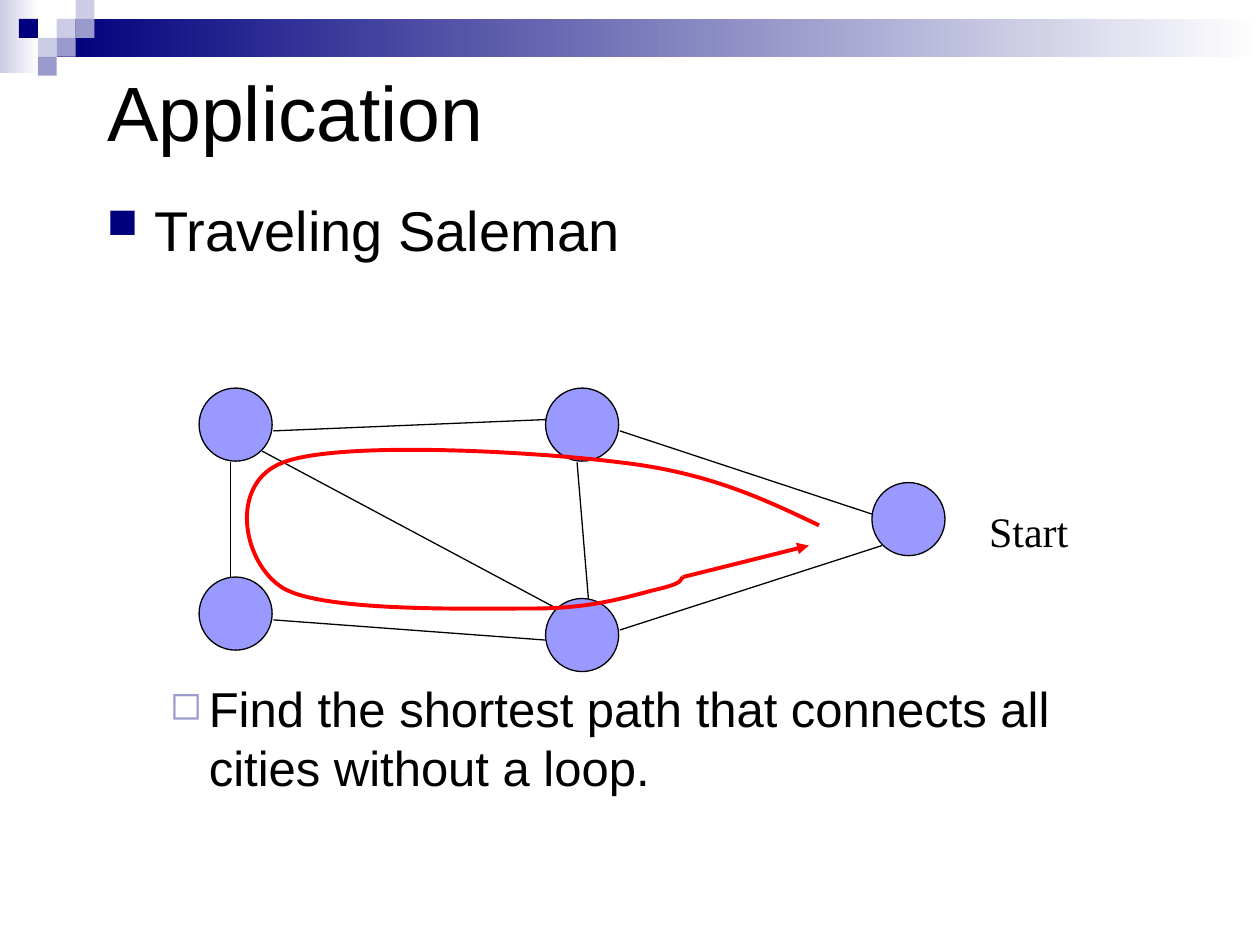
import typing

import lxml.etree
import pptx
import pptx.dml.color
import pptx.enum.shapes
import pptx.enum.text
import pptx.oxml.ns
import pptx.util

RGB = pptx.dml.color.RGBColor
Inches = pptx.util.Inches
Pt = pptx.util.Pt
qn = pptx.oxml.ns.qn
KIND = pptx.enum.shapes.MSO_SHAPE
ALIGN = pptx.enum.text.PP_ALIGN
MIDDLE = pptx.enum.text.MSO_ANCHOR.MIDDLE

BLACK = RGB(0x00, 0x00, 0x00)
WHITE = RGB(0xFF, 0xFF, 0xFF)
NAVY = RGB(0x00, 0x00, 0x7D)
PALE = RGB(0xCC, 0xCC, 0xE6)
MID = RGB(0x99, 0x99, 0xCC)
LILAC = RGB(0x99, 0x99, 0xFF)
RED = RGB(0xFF, 0x00, 0x00)

TILE = 0.15
CITY = 0.58


class Band(typing.NamedTuple):
    left: float
    top: float
    width: float
    height: float
    color: RGB


class Tile(typing.NamedTuple):
    col: int
    row: int
    color: RGB


class Spot(typing.NamedTuple):
    x: float
    y: float


class Road(typing.NamedTuple):
    start: Spot
    end: Spot


class Item(typing.NamedTuple):
    text: str
    size: int
    left: float
    hang: float
    space: int
    mark: str
    color: RGB
    scale: int


BANDS = [Band(0, 0, 0.31, 0.58, PALE), Band(0.45, 0.15, 9.55, 0.3, NAVY)]
TILES = [
    Tile(3, 1, PALE), Tile(4, 0, PALE), Tile(4, 1, MID), Tile(2, 2, PALE),
    Tile(1, 1, NAVY), Tile(3, 2, MID), Tile(2, 3, MID),
]
CITIES = [
    Spot(1.58, 3.08), Spot(4.33, 4.75), Spot(1.58, 4.58),
    Spot(4.33, 3.08), Spot(6.92, 3.83),
]
ROADS = [
    Road(Spot(1.83, 3.67), Spot(1.83, 4.58)),
    Road(Spot(2.17, 3.42), Spot(4.33, 3.33)),
    Road(Spot(4.92, 3.42), Spot(6.92, 4.08)),
    Road(Spot(2.17, 4.92), Spot(4.33, 5.08)),
    Road(Spot(4.92, 5), Spot(7, 4.33)),
    Road(Spot(4.58, 3.67), Spot(4.67, 4.75)),
    Road(Spot(2.08, 3.58), Spot(4.42, 4.83)),
]
TOUR = [
    Spot(6.5, 4.17),
    Spot(6.06, 3.96), Spot(5.62, 3.75), Spot(4.92, 3.67),
    Spot(4.21, 3.58), Spot(2.69, 3.5), Spot(2.25, 3.67),
    Spot(1.81, 3.83), Spot(1.92, 4.47), Spot(2.25, 4.67),
    Spot(2.58, 4.86), Spot(3.75, 4.83), Spot(4.25, 4.83),
    Spot(4.75, 4.83), Spot(5.06, 4.71), Spot(5.25, 4.67),
    Spot(5.44, 4.62), Spot(5.39, 4.6), Spot(5.42, 4.58),
]
ITEMS = [
    Item("Traveling Saleman", 32, 0.38, 0.38, 0, "■", NAVY, 75),
    Item("Find the shortest path that connects all cities without a loop.",
         28, 0.81, 0.31, 238, "◻", MID, 80),
]


def add_shape(slide, kind, left: float, top: float, width: float, height: float):
    shape = slide.shapes.add_shape(
        kind, Inches(left), Inches(top), Inches(width), Inches(height))
    shape.shadow.inherit = False
    shape.line.fill.background()
    return shape


def draw_band(slide, band: Band) -> None:
    fill = add_shape(slide, KIND.RECTANGLE, *band[:4]).fill
    fill.gradient()
    fill.gradient_angle = 0
    for stop, color in zip(fill.gradient_stops, (band.color, WHITE)):
        stop.color.rgb = color


def draw_tile(slide, tile: Tile) -> None:
    shape = add_shape(
        slide, KIND.RECTANGLE, tile.col * TILE, tile.row * TILE, TILE, TILE)
    shape.fill.solid()
    shape.fill.fore_color.rgb = tile.color


def draw_city(slide, spot: Spot) -> None:
    shape = add_shape(slide, KIND.OVAL, spot.x, spot.y, CITY, CITY)
    shape.fill.solid()
    shape.fill.fore_color.rgb = LILAC
    set_line(shape.line, BLACK, 0.75)


def set_line(line, color: RGB, width: float) -> None:
    line.color.rgb = color
    line.width = Pt(width)


def draw_road(slide, road: Road, color: RGB = BLACK, width: float = 0.75):
    link = slide.shapes.add_connector(
        pptx.enum.shapes.MSO_CONNECTOR.STRAIGHT,
        *(Inches(n) for spot in road for n in spot))
    set_line(link.line, color, width)
    lxml.etree.SubElement(link.element.spPr, qn("a:effectLst"))
    return link


def draw_tour(slide, spots: list[Spot]) -> None:
    first, *rest = [(Inches(spot.x), Inches(spot.y)) for spot in spots]
    build = slide.shapes.build_freeform(*first)
    build.add_line_segments(rest, close=False)
    shape = build.convert_to_shape()
    shape.shadow.inherit = False
    shape.fill.background()
    set_line(shape.line, RED, 2.25)
    legs = list(shape.element.iter(qn("a:lnTo")))
    for n in range(0, len(legs), 3):
        curve = lxml.etree.Element(qn("a:cubicBezTo"))
        legs[n].addprevious(curve)
        for leg in legs[n:n + 3]:
            curve.append(leg[0])
            leg.getparent().remove(leg)


def add_run(para, text: str, size: int, face: str) -> None:
    run = para.add_run()
    run.text = text
    run.font.size = Pt(size)
    run.font.name = face
    run.font.color.rgb = BLACK


def add_box(slide, left: float, top: float, width: float, height: float):
    box = slide.shapes.add_textbox(
        Inches(left), Inches(top), Inches(width), Inches(height))
    return box.text_frame


def add_item(para, item: Item) -> None:
    props = para._p.get_or_add_pPr()
    props.set("marL", str(Inches(item.left)))
    props.set("indent", str(-Inches(item.hang)))
    tint = lxml.etree.SubElement(props, qn("a:buClr"))
    lxml.etree.SubElement(tint, qn("a:srgbClr"), val=str(item.color))
    lxml.etree.SubElement(props, qn("a:buSzPct"), val=str(item.scale * 1000))
    lxml.etree.SubElement(props, qn("a:buChar"), char=item.mark)
    if item.space:
        para.space_before = Pt(item.space)
    add_run(para, item.text, item.size, "Arial")


def main() -> None:
    deck = pptx.Presentation()
    deck.slide_width, deck.slide_height = Inches(10), Inches(7.5)
    slide = deck.slides.add_slide(deck.slide_layouts[5])

    for band in BANDS:
        draw_band(slide, band)
    for tile in TILES:
        draw_tile(slide, tile)

    title = slide.shapes.title
    title.left, title.top = Inches(0.75), Inches(0.25)
    title.width, title.height = Inches(8.5), Inches(1.25)
    title.text_frame.vertical_anchor = MIDDLE
    head = title.text_frame.paragraphs[0]
    head.alignment = ALIGN.LEFT
    add_run(head, "Application", 44, "Arial")

    body = add_box(slide, 0.75, 1.5, 8.5, 5.08)
    body.word_wrap = True
    for n, item in enumerate(ITEMS):
        add_item(body.add_paragraph() if n else body.paragraphs[0], item)

    for city in CITIES:
        draw_city(slide, city)
    for road in ROADS:
        draw_road(slide, road)

    label = add_box(slide, 7.75, 3.92, 0.83, 0.58)
    label.word_wrap = False
    label.vertical_anchor = MIDDLE
    label.paragraphs[0].alignment = ALIGN.CENTER
    add_run(label.paragraphs[0], "Start", 24, "Times New Roman")

    draw_tour(slide, TOUR)
    last = draw_road(slide, Road(TOUR[-1], Spot(6.42, 4.33)), RED, 2.25)
    lxml.etree.SubElement(
        last.line._get_or_add_ln(), qn("a:tailEnd"), type="triangle")

    deck.save("out.pptx")


if __name__ == "__main__":
    main()
